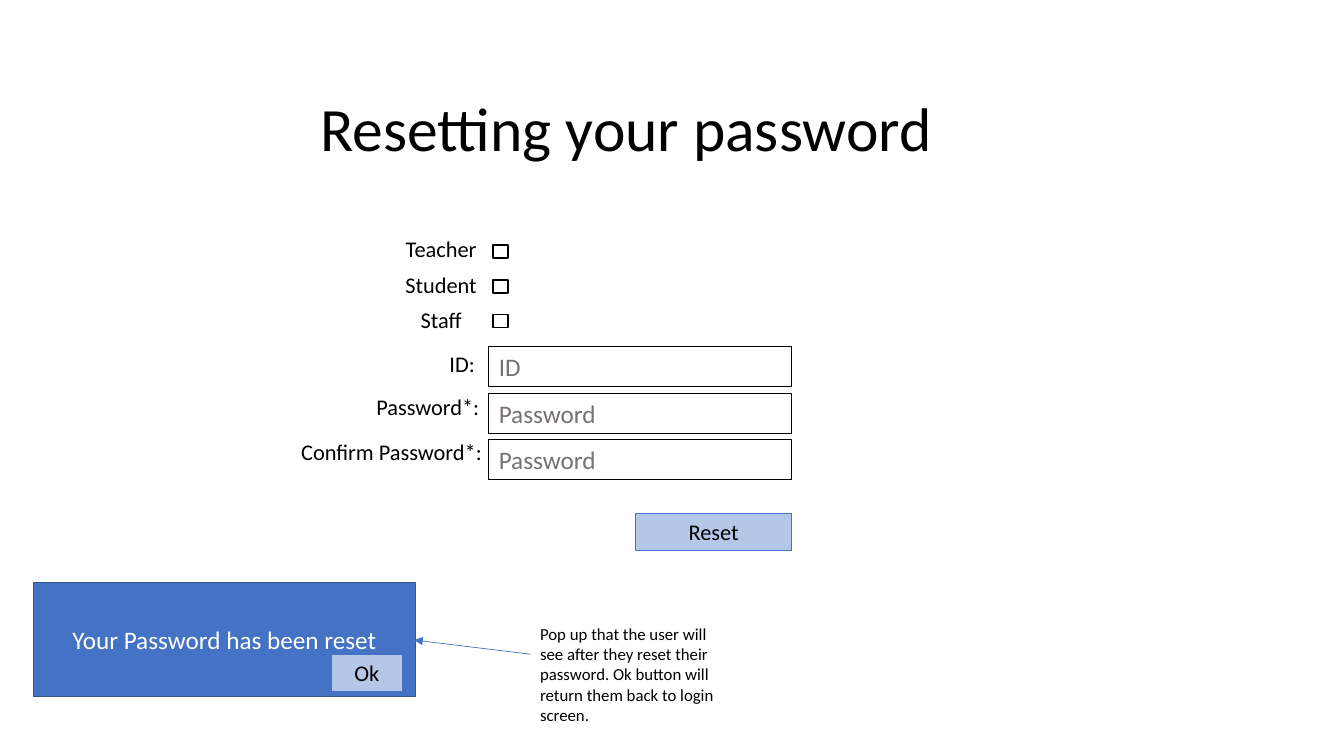
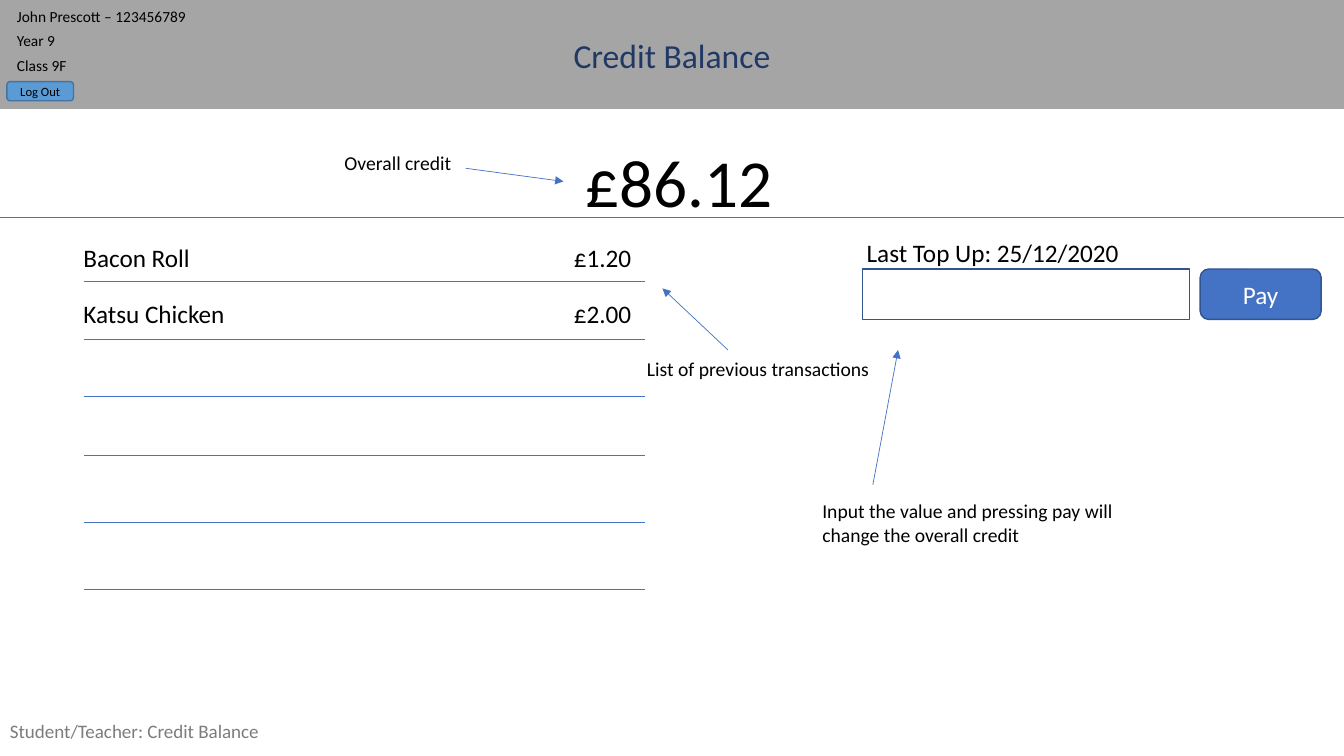
from pptx import Presentation
from pptx.dml.color import RGBColor
from pptx.enum.shapes import MSO_CONNECTOR as Link, MSO_SHAPE as Kind
from pptx.enum.text import MSO_ANCHOR as Anchor, PP_ALIGN as Align
from pptx.oxml.ns import qn
from pptx.util import Pt
from lxml.etree import SubElement

FONT = "Calibri"
WIDE, HIGH = 960, 540
BLACK = RGBColor(0x00, 0x00, 0x00)
WHITE = RGBColor(0xFF, 0xFF, 0xFF)
BLUE = RGBColor(0x44, 0x72, 0xC4)
PALE = RGBColor(0xB4, 0xC7, 0xE7)
DARK = RGBColor(0x32, 0x54, 0x91)
NAVY = RGBColor(0x20, 0x38, 0x64)
SKY = RGBColor(0x5B, 0x9B, 0xD5)
STEEL = RGBColor(0x43, 0x73, 0x9E)
BAND = RGBColor(0xA5, 0xA5, 0xA5)
HINT = RGBColor(0x76, 0x71, 0x71)
FOOT = RGBColor(0x7C, 0x7C, 0x7C)


def write(shape, words, size=18, color=BLACK, align=Align.LEFT,
          anchor=Anchor.TOP, lead=None, above=None, wrap=True):
    frame = shape.text_frame
    frame.word_wrap = wrap
    frame.vertical_anchor = anchor
    para = frame.paragraphs[0]
    para.alignment = align
    if lead:
        para.line_spacing = lead
    if above:
        para.space_before = Pt(above)
    run = para.add_run()
    run.text = words
    run.font.name = FONT
    run.font.size = Pt(size)
    run.font.color.rgb = color


def label(slide, area, words, **style):
    write(slide.shapes.add_textbox(*map(Pt, area)), words, **style)


def panel(slide, area, fill=None, line=None, width=1, kind=Kind.RECTANGLE):
    shape = slide.shapes.add_shape(kind, *map(Pt, area))
    shape.shadow.inherit = False
    if fill is None:
        shape.fill.background()
    else:
        shape.fill.solid()
        shape.fill.fore_color.rgb = fill
    if line is None:
        shape.line.fill.background()
    else:
        shape.line.color.rgb = line
        shape.line.width = Pt(width)
    return shape


def button(slide, area, words, size=16):
    write(panel(slide, area, PALE, BLUE, 0.75), words, size=size,
          align=Align.CENTER)


def pill(slide, area, words, fill, line, **style):
    write(panel(slide, area, fill, line, kind=Kind.ROUNDED_RECTANGLE), words,
          align=Align.CENTER, anchor=Anchor.MIDDLE, **style)


def rule(slide, start, end, arrow=False):
    link = slide.shapes.add_connector(Link.STRAIGHT, *map(Pt, start + end))
    link.line.color.rgb = BLUE
    link.line.width = Pt(0.5)
    if arrow:
        SubElement(link.line._get_or_add_ln(), qn("a:tailEnd"),
                   type="triangle")
    SubElement(link._element.spPr, qn("a:effectLst"))


def caption(slide, left, top, width, words):
    label(slide, (left, top, width, 32.4), words, size=16,
          align=Align.CENTER, lead=0.9, above=10)


def reset(slide):
    label(slide, (221.8, 41.8, 482.4, 104.4), "Resetting your password",
          size=44, anchor=Anchor.MIDDLE, lead=0.9)
    for words, top, tick in (("Teacher", 166.3, 175), ("Student", 192, 200),
                             ("Staff", 217, 224.8)):
        caption(slide, 255, top, 120.2, words)
        panel(slide, (352.1, tick, 10.8, 9.4), line=BLACK)

    fields = (("ID:", "ID", 270, 248.4, 120.2),
              ("Password*:", "Password", 245.5, 279.4, 120.2),
              ("Confirm Password*:", "Password", 180, 311.8, 199.4))
    for row, (words, hint, left, top, width) in enumerate(fields):
        caption(slide, left, top, width, words)
        field = panel(slide, (349.2, 247.6 + 33.2 * row, 216, 28.8),
                      line=BLACK, width=0.75)
        write(field, hint, color=HINT)
    button(slide, (454, 366.5, 111.6, 26.6), "Reset")

    popup = panel(slide, (23.8, 416.2, 272.9, 81.4), BLUE, DARK)
    write(popup, "Your Password has been reset", color=WHITE,
          align=Align.CENTER, anchor=Anchor.MIDDLE)
    button(slide, (236.9, 467.6, 50.4, 26.2), "Ok")
    rule(slide, (379, 467.3), (296, 457.2), arrow=True)
    label(slide, (378.7, 442.1, 141.8, 80),
          "Pop up that the user will see after they reset their password. "
          "Ok button will return them back to login screen.", size=12)


def header(slide, title, user):
    panel(slide, (0, 0, WIDE, 77.8), BAND)
    for row, words in enumerate(user):
        label(slide, (5, 1.4 + 17.5 * row, 185, 20.9), words, size=11)
    pill(slide, (5, 58.3, 47.5, 13.7), "Log Out", SKY, STEEL, size=9)
    label(slide, (0, 21.6, WIDE, 36), title, size=24, color=NAVY,
          align=Align.CENTER)


def credit(slide):
    header(slide, "Credit Balance",
           ("John Prescott – 123456789", "Year 9", "Class 9F"))
    label(slide, (0, 507.6, 205.2, 32.4), "Student/Teacher: Credit Balance",
          size=13.6, color=FOOT, anchor=Anchor.MIDDLE, lead=0.8)
    label(slide, (5, 96.5, WIDE, 65.5), "£86.12", size=48,
          align=Align.CENTER)
    rule(slide, (0, 155.5), (WIDE, 155.5))

    for row, (item, price) in enumerate((("Bacon Roll", "£1.20"),
                                         ("Katsu Chicken", "£2.00"))):
        top = 169.2 + 40.2 * row
        label(slide, (52.5, top, 172.8, 28.8), item)
        label(slide, (402.8, top, 103, 28.8), price)
    for top in (201, 242.6, 283, 325.4, 373, 421.3):
        rule(slide, (60, top), (461, top))

    label(slide, (612, 166.3, 336.2, 28.8), "Last Top Up: 25/12/2020")
    panel(slide, (616.3, 192.2, 233.3, 36), line=DARK)
    pill(slide, (857.3, 192.2, 86.4, 36), "Pay", BLUE, DARK, color=WHITE)

    notes = (("Overall credit", (239, 104.4, 93.6, 24.5), False,
              (332.6, 120.2), (402.5, 129.6)),
             ("List of previous transactions", (455, 251.5, 175, 24.5), False,
              (520, 250), (473.2, 206)),
             ("Input the value and pressing pay will change the overall "
              "credit", (580.3, 353, 227.5, 41), True,
              (623.5, 346.3), (641.5, 250)))
    for words, area, wrap, start, end in notes:
        label(slide, area, words, size=14, wrap=wrap)
        rule(slide, start, end, arrow=True)


def main():
    deck = Presentation()
    deck.slide_width, deck.slide_height = Pt(WIDE), Pt(HIGH)
    for build in (reset, credit):
        build(deck.slides.add_slide(deck.slide_layouts[6]))
    deck.save("out.pptx")


main()
